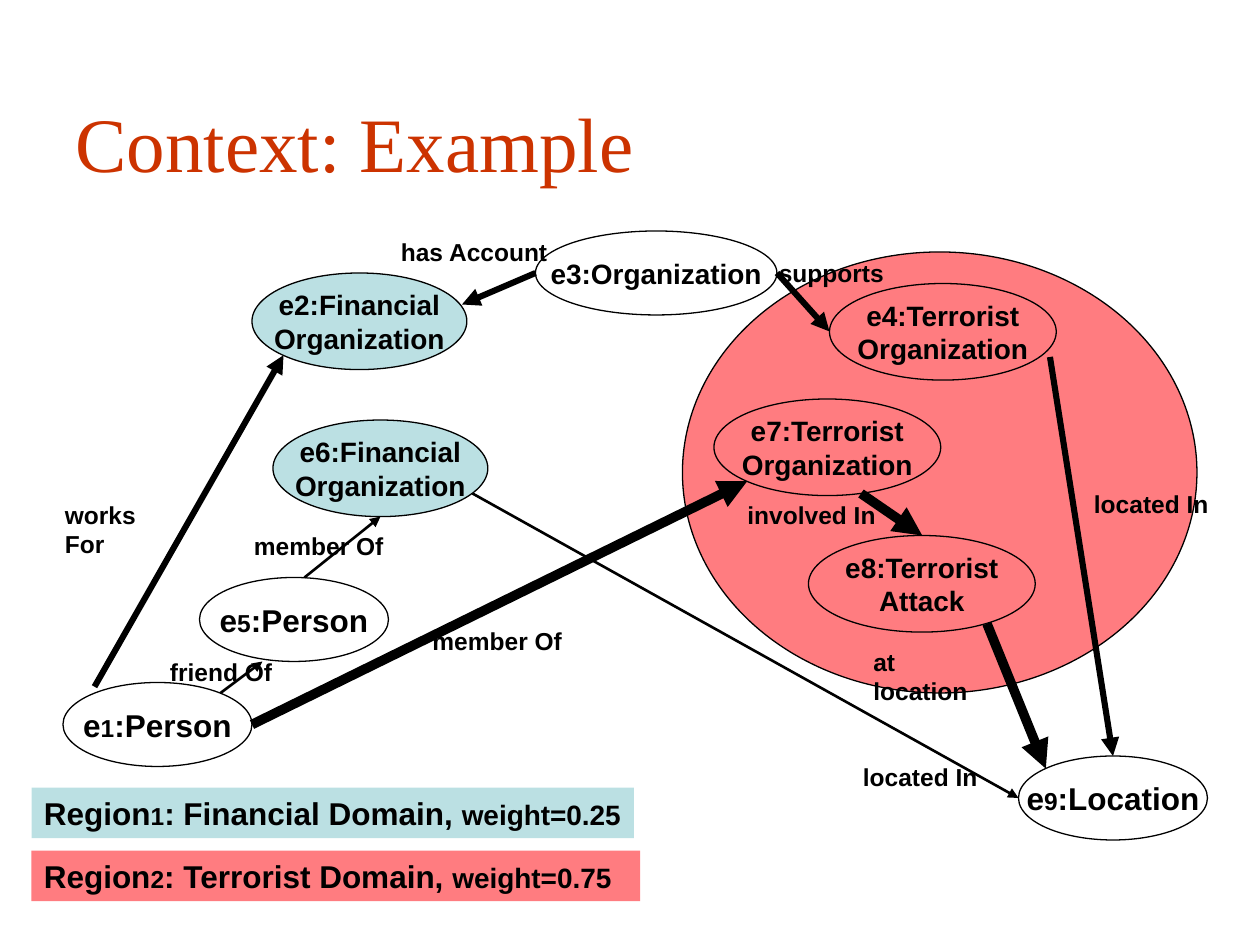
from pptx import Presentation
from pptx.dml.color import RGBColor
from pptx.enum.shapes import MSO_CONNECTOR, MSO_SHAPE
from pptx.enum.text import MSO_ANCHOR, PP_ALIGN
from pptx.oxml.ns import qn
from pptx.util import Pt
from lxml.etree import SubElement

COLORS = {"title": "CC3300", "ink": "000000", "financial": "BBE0E3", "terrorist": "FF7C80"}

TITLE = "Context: Example"
TERRORIST_REGION = (390, 144, 294, 252)

# Node sizes by kind: width, height
SIZES = {"terrorist": (129.6, 55.2), "financial": (122.8, 55.2),
         "plain": (108, 48), "wide": (138, 48)}

# Nodes: kind, left, top, lines of (text, size) runs
NODES = [
    ("terrorist", 408, 228, [[("e7:Terrorist", 16)], [("Organization", 16)]]),
    ("terrorist", 474, 162, [[("e4:Terrorist", 16)], [("Organization", 16)]]),
    ("terrorist", 462, 306, [[("e8:Terrorist", 16)], [("Attack", 16)]]),
    ("financial", 156, 240, [[("e6:Financial", 16)], [("Organization", 16)]]),
    ("financial", 144, 156, [[("e2:Financial", 16)], [("Organization", 16)]]),
    ("plain", 36, 390, [[("e", 18), ("1", 14), (":Person", 18)]]),
    ("plain", 582, 432, [[("e", 18), ("9", 14), (":Location", 18)]]),
    ("plain", 114, 330, [[("e", 18), ("5", 14), (":Person", 18)]]),
    ("wide", 306, 132, [[("e3:Organization", 16)]]),
]

# Relations: start, end, line width, label, label left, top, width
RELATIONS = [
    ((126, 396), (150, 378), 1.5, "friend Of", 90, 372, 72.7),
    ((174, 330), (217.4, 295.2), 1.5, "member Of", 138, 300, 88.6),
    ((270, 282), (582, 456), 1.5, "located In", 486, 432, 79.9),
    ((54, 392.4), (162, 203), 3.5, "works  For", 30, 282, 85),
    ((306, 156), (264, 174), 3.5, "has Account", 222, 132, 98.6),
    ((444, 156), (474, 189.4), 3.5, "supports", 438, 144, 74.2),
    ((600, 204), (636, 432), 3.5, "located In", 618, 276, 79.9),
    ((144, 414), (427, 275), 5.5, "member Of", 240, 354, 88.6),
    ((492, 282), (527, 306), 5.5, "involved In", 420, 282, 87.8),
    ((564, 356.4), (597.6, 439.2), 5.5, "at location", 492, 366, 84.2),
]

# Legend: region colour, number, name, weight, top, width
LEGEND = [
    ("financial", "1", "Financial", "0.25", 450, 344.2),
    ("terrorist", "2", "Terrorist", "0.75", 486, 347.8),
]
LEGEND_LEFT, LEGEND_HEIGHT = 18, 29
LABEL_HEIGHT = 24.5


def rgb(name):
    return RGBColor.from_string(COLORS[name])


def write(sp, lines, align, anchor):
    tf = sp.text_frame
    tf.word_wrap = False
    tf.vertical_anchor = anchor
    for i, runs in enumerate(lines):
        p = tf.add_paragraph() if i else tf.paragraphs[0]
        p.alignment = align
        for text, size in runs:
            r = p.add_run()
            r.text = text
            r.font.name, r.font.size, r.font.bold = "Arial", Pt(size), True
            r.font.color.rgb = rgb("ink")


def add_shape(kind, box, fill, outlined=True):
    sp = s.shapes.add_shape(kind, *map(Pt, box))
    sp.shadow.inherit = False
    if fill:
        sp.fill.solid()
        sp.fill.fore_color.rgb = rgb(fill)
    else:
        sp.fill.background()
    if outlined:
        sp.line.color.rgb = rgb("ink")
        sp.line.width = Pt(0.75)
    else:
        sp.line.fill.background()
    return sp


def add_arrow(start, end, width):
    cxn = s.shapes.add_connector(MSO_CONNECTOR.STRAIGHT, *map(Pt, start + end))
    cxn.line.color.rgb = rgb("ink")
    cxn.line.width = Pt(width)
    SubElement(cxn.line._get_or_add_ln(), qn("a:tailEnd"), type="triangle")
    SubElement(cxn._element.spPr, qn("a:effectLst"))


prs = Presentation()
prs.slide_width, prs.slide_height = Pt(720), Pt(540)
s = prs.slides.add_slide(prs.slide_layouts[5])

# Title
title = s.shapes.title
title.left, title.top, title.width, title.height = map(Pt, (36, 36, 648, 90))
title.text_frame.text = TITLE
title.text_frame.vertical_anchor = MSO_ANCHOR.MIDDLE
p = title.text_frame.paragraphs[0]
p.alignment = PP_ALIGN.LEFT
font = p.runs[0].font
font.name, font.size = "Times New Roman", Pt(44)
font.color.rgb = rgb("title")

# Region and nodes
add_shape(MSO_SHAPE.OVAL, TERRORIST_REGION, "terrorist")
for kind, left, top, lines in NODES:
    fill = kind if kind in COLORS else None
    sp = add_shape(MSO_SHAPE.OVAL, (left, top, *SIZES[kind]), fill)
    write(sp, lines, PP_ALIGN.CENTER, MSO_ANCHOR.MIDDLE)

# Relations with their labels
for start, end, weight, label, left, top, width in RELATIONS:
    add_arrow(start, end, weight)
    tb = s.shapes.add_textbox(*map(Pt, (left, top, width, LABEL_HEIGHT)))
    write(tb, [[(label, 14)]], PP_ALIGN.LEFT, MSO_ANCHOR.TOP)

# Legend
for fill, number, name, weight, top, width in LEGEND:
    sp = add_shape(MSO_SHAPE.RECTANGLE, (LEGEND_LEFT, top, width, LEGEND_HEIGHT), fill, False)
    runs = [("Region", 18), (number, 14), (f": {name} Domain, ", 18), (f"weight={weight}", 16)]
    write(sp, [runs], PP_ALIGN.LEFT, MSO_ANCHOR.TOP)
    sp.text_frame.word_wrap = True

prs.save("out.pptx")
